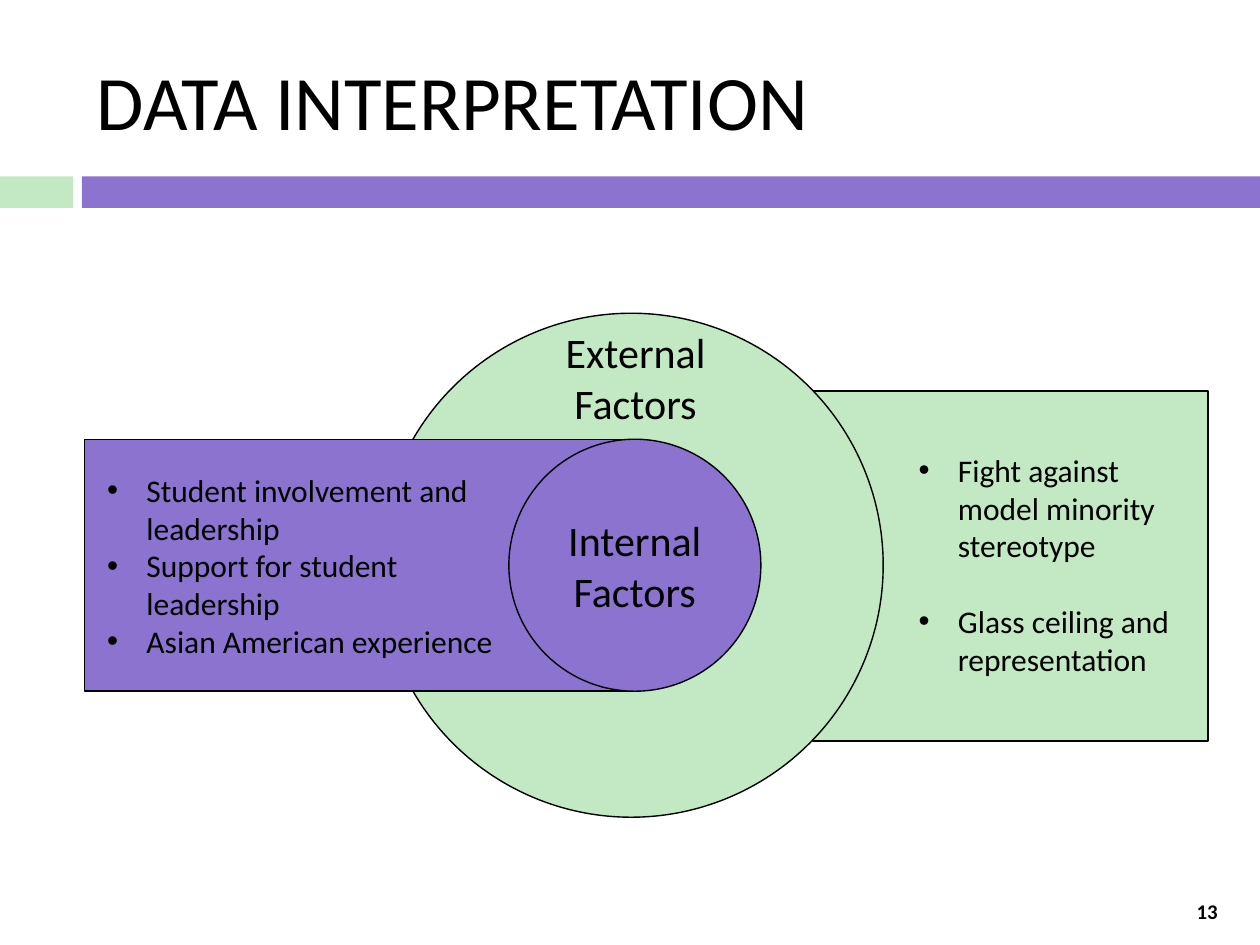
from lxml import etree
from pptx import Presentation
from pptx.dml.color import RGBColor
from pptx.enum.shapes import MSO_SHAPE
from pptx.enum.text import MSO_ANCHOR, MSO_AUTO_SIZE, PP_ALIGN
from pptx.oxml.ns import qn
from pptx.util import Pt

RECTANGLE, OVAL = MSO_SHAPE.RECTANGLE, MSO_SHAPE.OVAL
LEFT, CENTER = PP_ALIGN.LEFT, PP_ALIGN.CENTER
TOP, MIDDLE = MSO_ANCHOR.TOP, MSO_ANCHOR.MIDDLE
NO_FIT = MSO_AUTO_SIZE.NONE
GREEN, PURPLE, BLACK = "C2E8C4", "8C73D0", "000000"
TWO_CONTENT = 3
INDENT = 22.5


def color(value):
    return RGBColor.from_string(value)


def place(shape, box):
    shape.left, shape.top, shape.width, shape.height = map(Pt, box)


def add_block(page, kind, box, fill, outlined=True):
    shape = page.shapes.add_shape(kind, *map(Pt, box))
    shape.shadow.inherit = False
    shape.fill.solid()
    shape.fill.fore_color.rgb = color(fill)
    if outlined:
        shape.line.color.rgb = color(BLACK)
        shape.line.width = Pt(0.79)
    else:
        shape.line.fill.background()
    return shape


def write(shape, *lines, size=18, bold=False, align=LEFT, anchor=TOP, bullet=None, gap=0):
    frame = shape.text_frame
    frame.word_wrap = True
    frame.auto_size = NO_FIT
    frame.vertical_anchor = anchor
    for index, text in enumerate(lines):
        para = frame.paragraphs[0] if index == 0 else frame.add_paragraph()
        para.alignment = align
        para.space_before = Pt(gap if index else 0)
        span = para.add_run()
        span.text = text
        span.font.name = "Calibri"
        span.font.size = Pt(size)
        span.font.bold = bold
        span.font.color.rgb = color(BLACK)
        if bullet:
            props = para._p.get_or_add_pPr()
            props.set("marL", str(Pt(INDENT)))
            props.set("indent", str(-Pt(INDENT)))
            etree.SubElement(props, qn("a:buFont")).set("typeface", "Arial")
            etree.SubElement(props, qn("a:buChar")).set("char", bullet)


def add_label(page, box, text, **style):
    write(page.shapes.add_textbox(*map(Pt, box)), text, **style)


def fill_list(holder, box, lines, gap=0):
    place(holder, box)
    write(holder, *lines, bullet="•", gap=gap)
    holder.element.getparent().append(holder.element)


def build_header(page, box):
    left, top, width, height = box
    place(page.shapes.title, (left + 48.2, top + 18, 642.2, 77.8))
    write(page.shapes.title, "DATA INTERPRETATION", size=44, anchor=MIDDLE)
    bar_top, bar_height = top + height - 18, 18
    add_block(page, RECTANGLE, (left, bar_top, 41.8, bar_height), GREEN, outlined=False)
    add_block(page, RECTANGLE, (left + 46.8, bar_top, width - 46.8, bar_height), PURPLE, outlined=False)


def build_diagram(page, box):
    left, top, width, height = box
    outer, inner = height, height / 2
    inner_top = top + (outer - inner) / 2
    outer_left, inner_left = left + 168.5, left + 242.6

    add_block(page, RECTANGLE, (left + width - 226, top + 44.5, 226, 200), GREEN)
    add_block(page, OVAL, (outer_left, top, outer, outer), GREEN)
    add_block(page, RECTANGLE, (left, inner_top, 312.5, inner), PURPLE)
    core = add_block(page, OVAL, (inner_left, inner_top, inner, inner), PURPLE)
    write(core, "Internal Factors", size=24, align=CENTER, anchor=MIDDLE)
    add_label(page, (left + 244, top + 4.3, 142, 65.5), "External Factors", size=24, align=CENTER)

    fill_list(page.placeholders[1], (left + 5.8, top + 86.4, 237.6, 116.6), [
        "Student involvement and leadership",
        "Support for student leadership",
        "Asian American experience",
    ])
    fill_list(page.placeholders[2], (left + 469.5, top + 75, 162, 138), [
        "Fight against model minority stereotype",
        "Glass ceiling and representation",
    ], gap=21.6)


def main():
    deck = Presentation()
    deck.slide_width, deck.slide_height = Pt(720), Pt(540)
    page = deck.slides.add_slide(deck.slide_layouts[TWO_CONTENT])
    build_header(page, (0, 0, 720, 118.8))
    build_diagram(page, (48.2, 179, 642.2, 288))
    add_label(page, (668.9, 511.2, 41.8, 19.4), "13", size=11.9, bold=True, align=CENTER, anchor=MIDDLE)
    deck.save("out.pptx")


if __name__ == "__main__":
    main()
